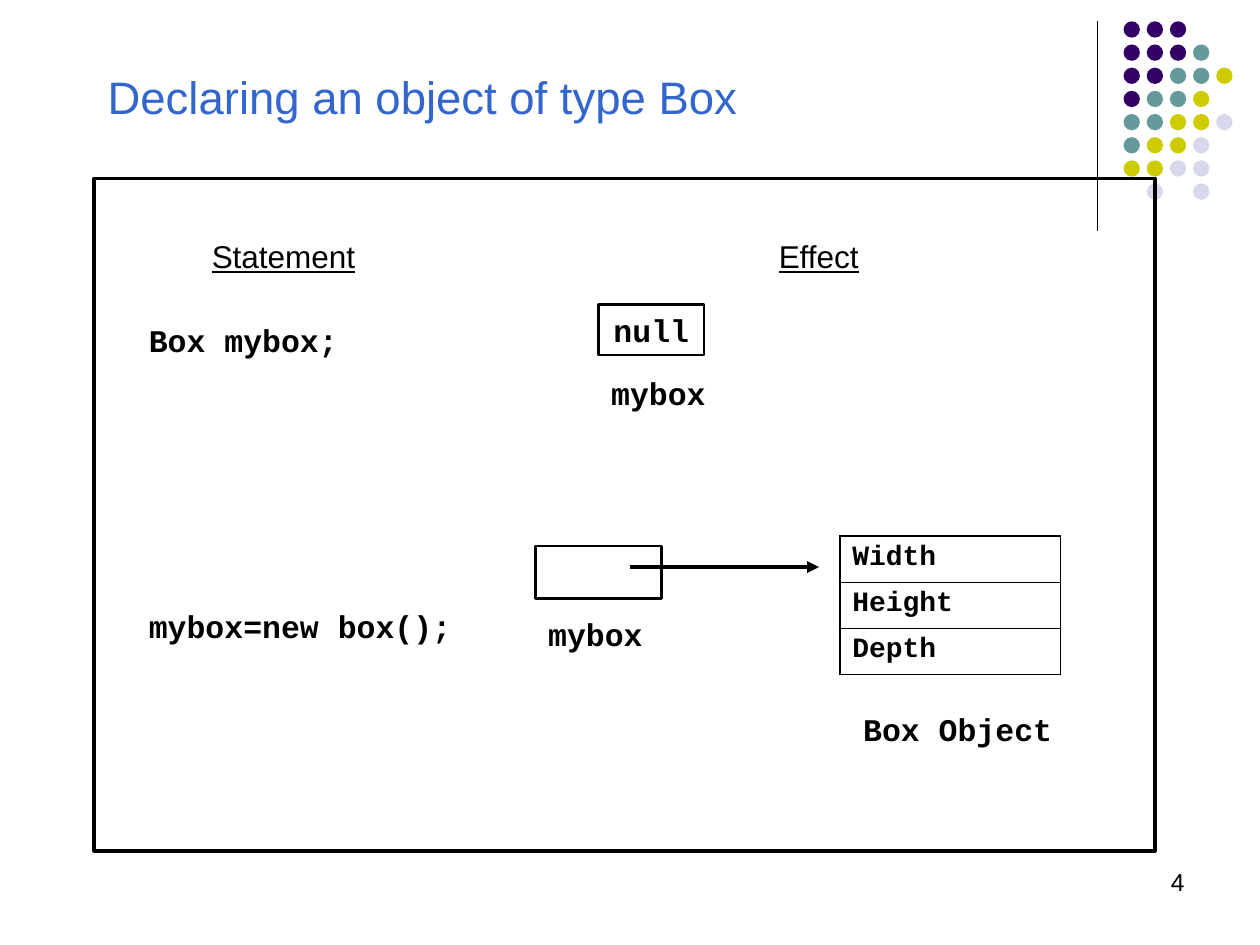
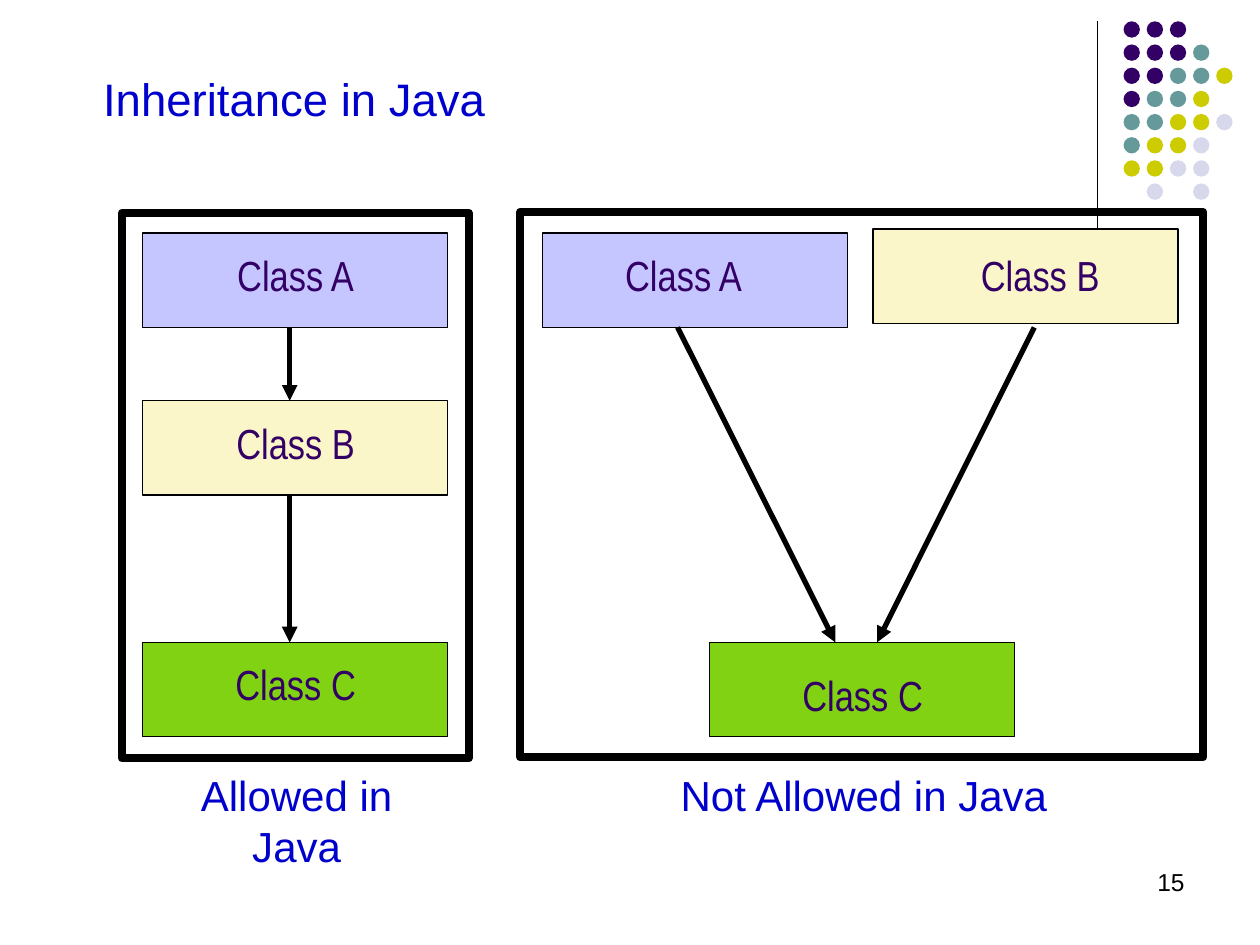
from lxml import etree
from pptx import Presentation
from pptx import util as u
from pptx.dml.color import RGBColor
from pptx.enum import shapes, text
from pptx.oxml.ns import qn

COLORS = {
    "black": "000000",
    "purple": "330066",
    "teal": "669999",
    "olive": "CCCC00",
    "mist": "D8D8EC",
    "title_blue": "3366CC",
    "deep_blue": "0000CC",
    "lilac": "C5C5FF",
    "cream": "FBF6C9",
    "green": "80D212",
}
SANS, NARROW, MONO = "Arial", "Arial Narrow", "Courier New"
LEFT, CENTER, RIGHT = text.PP_ALIGN.LEFT, text.PP_ALIGN.CENTER, text.PP_ALIGN.RIGHT
RECT, OVAL = shapes.MSO_SHAPE.RECTANGLE, shapes.MSO_SHAPE.OVAL


def put(s, at, txt="", kind=None, fill=None, line=None, size=18, font=SANS,
        color="black", bold=False, underline=False, align=LEFT, wrap=True,
        anchor=text.MSO_ANCHOR.TOP):
    """Add a text box, or a preset shape when kind is given; at is in cm."""
    box = [u.Cm(v) for v in at]
    if kind is None:
        sp = s.shapes.add_textbox(*box)
    else:
        sp = s.shapes.add_shape(kind, *box)
        sp.shadow.inherit = False
        if fill:
            sp.fill.solid()
            sp.fill.fore_color.rgb = RGBColor.from_string(COLORS[fill])
        else:
            sp.fill.background()
        if line:
            sp.line.color.rgb = RGBColor.from_string(COLORS["black"])
            sp.line.width = u.Pt(line)
        else:
            sp.line.fill.background()
    if txt:
        tf = sp.text_frame
        tf.word_wrap = wrap
        tf.vertical_anchor = anchor
        p = tf.paragraphs[0]
        p.alignment = align
        r = p.add_run()
        r.text = txt
        r.font.size, r.font.name = u.Pt(size), font
        r.font.bold, r.font.underline = bold, underline
        r.font.color.rgb = RGBColor.from_string(COLORS[color])


def connect(s, x1, y1, x2, y2, width, arrow=True):
    c = s.shapes.add_connector(shapes.MSO_CONNECTOR.STRAIGHT,
                               u.Cm(x1), u.Cm(y1), u.Cm(x2), u.Cm(y2))
    c.line.color.rgb = RGBColor.from_string(COLORS["black"])
    c.line.width = u.Pt(width)
    if arrow:
        etree.SubElement(c.line._get_or_add_ln(), qn("a:tailEnd"), type="triangle")
    etree.SubElement(c._element.spPr, qn("a:effectLst"))


prs = Presentation()
prs.slide_width, prs.slide_height = u.Cm(25.4), u.Cm(19.05)

# Shared corner ornament and slide number
DOT_ROWS = ["PPP", "PPPT", "PPTTO", "PTTO", "TTOOM", "TOOM", "OOMM", " M M"]
DOT_COLORS = {"P": "purple", "T": "teal", "O": "olive", "M": "mist"}
DOT_PITCH = 0.467
slides = []
for number in (4, 15):
    s = prs.slides.add_slide(prs.slide_layouts[6])
    connect(s, 22.12, 0.43, 22.12, 4.65, 0.75, arrow=False)
    for row, dots in enumerate(DOT_ROWS):
        for col, dot in enumerate(dots):
            if dot in DOT_COLORS:
                put(s, (22.65 + col * DOT_PITCH, 0.43 + row * DOT_PITCH, 0.33, 0.33),
                    kind=OVAL, fill=DOT_COLORS[dot])
    put(s, (18.2, 17.36, 5.93, 1.31), str(number), size=14, align=RIGHT)
    slides.append(s)
declaring, inheritance = slides

# Declaring an object
s = declaring
put(s, (1.92, 1.27, 13.76, 1.38), "Declaring an object of type Box",
    size=26, color="title_blue")
put(s, (1.9, 3.6, 21.38, 13.55), kind=RECT, line=2.25)
for heading, x, w in [("Statement", 4.02, 4.23), ("Effect", 15.45, 2.96)]:
    put(s, (x, 4.66, w, 1.02), heading, underline=True)
for code, x, y, w in [
    ("Box mybox;", 2.75, 6.35, 4.45),
    ("mybox=new box();", 2.75, 12.12, 6.99),
    ("mybox", 12.07, 7.41, 2.54),
    ("mybox", 10.8, 12.28, 2.54),
    ("Box Object", 17.15, 14.18, 4.45),
]:
    put(s, (x, y, w, 1.02), code, font=MONO, bold=True)
put(s, (12.07, 6.14, 2.12, 1.02), "null", kind=RECT, line=1.5,
    font=MONO, bold=True, align=CENTER)
put(s, (10.8, 11.01, 2.54, 1.06), kind=RECT, line=1.5)

FIELDS = ["Width", "Height", "Depth"]
OUTER, INNER = 1.08, 0.45
table = s.shapes.add_table(len(FIELDS), 1, u.Cm(16.93), u.Cm(10.8),
                           u.Cm(4.45), u.Cm(2.8)).table
table.first_row = table.horz_banding = False
for i, field in enumerate(FIELDS):
    cell = table.cell(i, 0)
    p = cell.text_frame.paragraphs[0]
    r = p.add_run()
    r.text = field
    r.font.size, r.font.name, r.font.bold = u.Pt(16), MONO, True
    r.font.color.rgb = RGBColor.from_string(COLORS["black"])
    tc_pr = cell._tc.get_or_add_tcPr()
    top = OUTER if i == 0 else INNER
    bottom = OUTER if i == len(FIELDS) - 1 else INNER
    for side, width in [("L", OUTER), ("R", OUTER), ("T", top), ("B", bottom)]:
        ln = etree.SubElement(tc_pr, qn("a:ln" + side), w=str(u.Pt(width)))
        solid = etree.SubElement(ln, qn("a:solidFill"))
        etree.SubElement(solid, qn("a:srgbClr"), val=COLORS["black"])
    cell.fill.background()
connect(s, 12.7, 11.43, 16.51, 11.43, 2.25)

# Inheritance in Java
s = inheritance
put(s, (1.83, 1.09, 9.8, 1.78), "Inheritance in Java", size=26,
    color="deep_blue", anchor=text.MSO_ANCHOR.MIDDLE)
for x, y, w in [(10.49, 4.27, 13.77), (2.46, 4.29, 6.99)]:
    put(s, (x, y, w, 11), kind=RECT, line=4.5)

CLASS_COLORS = {"Class A": "lilac", "Class B": "cream", "Class C": "green"}
CLASSES = [  # name, box x and y, label x and y
    ("Class A", 2.87, 4.7, 3.1, 4.9),
    ("Class B", 2.87, 8.08, 3.1, 8.3),
    ("Class C", 2.87, 12.95, 3.1, 13.16),
    ("Class A", 10.94, 4.7, 10.92, 4.9),
    ("Class B", 17.6, 4.62, 18.11, 4.9),
    ("Class C", 14.3, 12.95, 14.53, 13.38),
]
for name, x, y, _, _ in CLASSES:
    put(s, (x, y, 6.15, 1.9), kind=RECT, fill=CLASS_COLORS[name], line=0.75)
for ends in [
    (5.84, 6.6, 5.84, 8.08),
    (5.84, 9.98, 5.84, 12.95),
    (13.66, 6.6, 16.84, 12.95),
    (20.85, 6.6, 17.68, 12.95),
]:
    connect(s, *ends, 3)
for name, _, _, x, y in CLASSES:
    put(s, (x, y, 5.72, 1.27), name, size=24, font=NARROW,
        color="purple", align=CENTER)
for caption, x, w in [("Allowed in Java", 2.79, 6.38),
                      ("Not Allowed in Java", 13.44, 7.95)]:
    put(s, (x, 15.39, w, 1.27), caption, size=24, color="deep_blue",
        align=CENTER, wrap=False)

prs.save("out.pptx")
